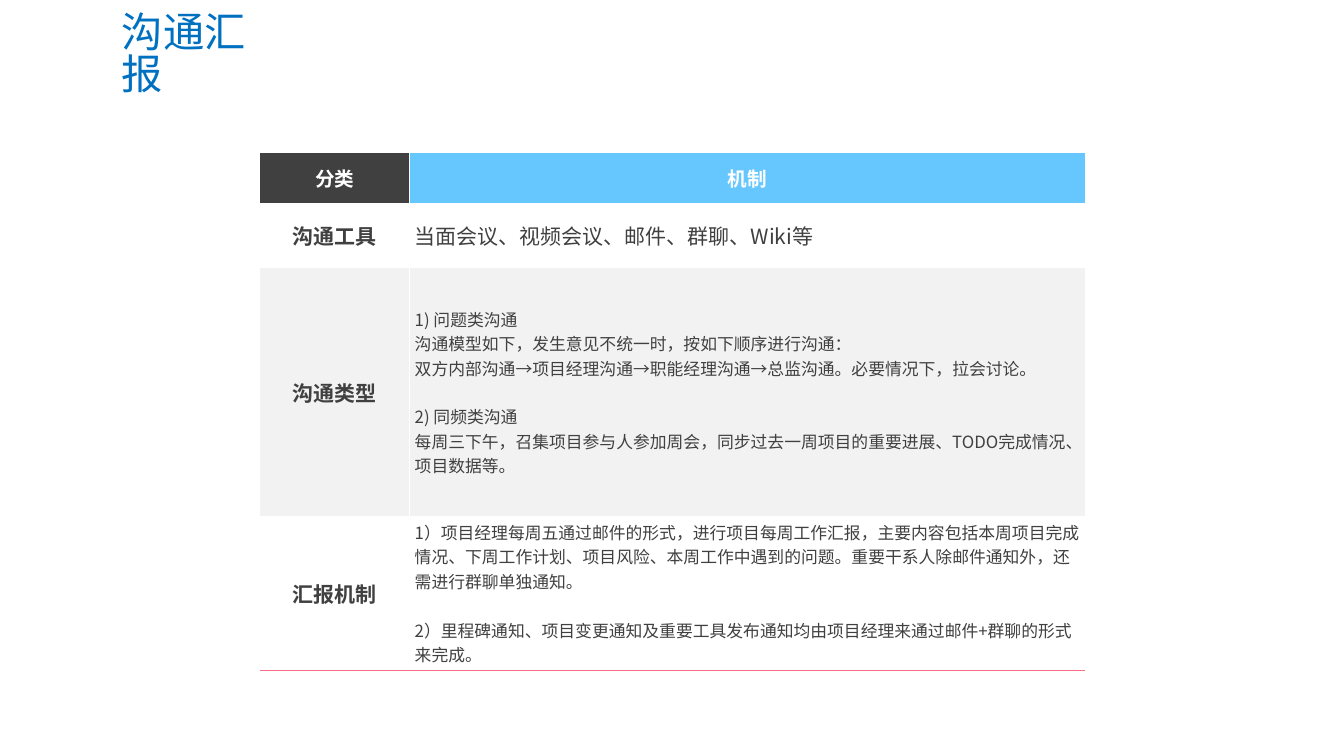
from lxml import etree
from pptx import Presentation
from pptx.dml.color import RGBColor
from pptx.enum.text import MSO_ANCHOR, MSO_AUTO_SIZE, PP_ALIGN
from pptx.oxml import parse_xml
from pptx.oxml.ns import nsdecls, qn
from pptx.util import Inches, Pt

MIDDLE = MSO_ANCHOR.MIDDLE
NONE = MSO_AUTO_SIZE.NONE
LEFT, CENTER = PP_ALIGN.LEFT, PP_ALIGN.CENTER

FONT = "Noto Sans CJK SC"
PLAIN = "{2D5ABB26-0587-4C30-8999-92F81FD0307C}"  # table style without grid
GAP = 34.75  # one blank line at 24 pt
COLORS = {
    "title": "0070C0",
    "dark": "404040",
    "sky": "66C7FF",
    "white": "FFFFFF",
    "gray": "F2F2F2",
    "pink": "F96D88",
}
COLS = [2.97, 13.41]
ROWS = [0.99, 1.29, 4.92, 3.06]

HEADS = [("分类", "dark"), ("机制", "sky")]
# label, fill, text size, groups of paragraphs
BODY = [
    ("沟通工具", "white", 30, [["当面会议、视频会议、邮件、群聊、Wiki等"]]),
    ("沟通类型", "gray", 24, [
        ["1) 问题类沟通",
         "沟通模型如下，发生意见不统一时，按如下顺序进行沟通：",
         "双方内部沟通→项目经理沟通→职能经理沟通→总监沟通。必要情况下，拉会讨论。"],
        ["2) 同频类沟通",
         "每周三下午，召集项目参与人参加周会，同步过去一周项目的重要进展、"
         "TODO完成情况、项目数据等。"],
    ]),
    ("汇报机制", "white", 24, [
        ["1）项目经理每周五通过邮件的形式，进行项目每周工作汇报，主要内容包括"
         "本周项目完成情况、下周工作计划、项目风险、本周工作中遇到的问题。"
         "重要干系人除邮件通知外，还需进行群聊单独通知。"],
        ["2）里程碑通知、项目变更通知及重要工具发布通知均由项目经理来通过"
         "邮件+群聊的形式来完成。"],
    ]),
]


def rgb(name):
    return RGBColor.from_string(COLORS[name])


def add_run(para, text, size, color, bold=False):
    run = para.add_run()
    run.text = text
    font = run.font
    font.name, font.size, font.bold = FONT, Pt(size), bold
    font.color.rgb = rgb(color)
    east = etree.SubElement(run._r.get_or_add_rPr(), qn("a:ea"))
    east.set("typeface", FONT)


def add_title(slide):
    title = slide.shapes.title
    title.left, title.top = Inches(2.36), Inches(0.56)
    title.width, title.height = Inches(3.35), Inches(1.1)
    frame = title.text_frame
    frame.word_wrap, frame.auto_size = True, NONE
    frame.vertical_anchor = MIDDLE
    frame.margin_left = frame.margin_right = Inches(0.06)
    frame.margin_top = frame.margin_bottom = Inches(0.06)
    para = frame.paragraphs[0]
    para.alignment, para.line_spacing = LEFT, 0.84
    add_run(para, "沟通汇报", 59, "title")


def add_edge(cell, side, color):
    """Put a border first in the cell's properties."""
    line = parse_xml(
        f'<a:{side} {nsdecls("a")} w="{Pt(1.5)}"><a:solidFill>'
        f'<a:srgbClr val="{COLORS[color]}"/></a:solidFill></a:{side}>')
    cell._tc.get_or_add_tcPr().insert(0, line)


def fill_cell(cell, groups, fill, size, color, bold, align):
    cell.fill.solid()
    cell.fill.fore_color.rgb = rgb(fill)
    cell.vertical_anchor = MIDDLE
    frame = cell.text_frame
    para = None
    for group in groups:
        for i, text in enumerate(group):
            first = para is None
            para = frame.paragraphs[0] if first else frame.add_paragraph()
            para.alignment = align
            if i == 0 and not first:
                para.space_before = Pt(GAP)
            add_run(para, text, size, color, bold)


def add_grid(slide):
    frame = slide.shapes.add_table(
        len(ROWS), len(COLS), Inches(5.16), Inches(3.04),
        Inches(sum(COLS)), Inches(sum(ROWS)))
    table = frame.table
    table.first_row = table.horz_banding = False
    table._tbl.tblPr.find(qn("a:tableStyleId")).text = PLAIN
    for col, width in zip(table.columns, COLS):
        col.width = Inches(width)
    for row, height in zip(table.rows, ROWS):
        row.height = Inches(height)

    for c, (text, fill) in enumerate(HEADS):
        fill_cell(table.cell(0, c), [[text]], fill, 28, "white", True, CENTER)
    for r, (label, fill, size, groups) in enumerate(BODY, 1):
        fill_cell(table.cell(r, 0), [[label]], fill, 30, "dark", True, CENTER)
        fill_cell(table.cell(r, 1), groups, fill, size, "dark", False, LEFT)

    last = len(ROWS) - 1
    for r in range(len(ROWS)):
        for c, side in enumerate(("lnR", "lnL")):
            cell = table.cell(r, c)
            if r == last:
                add_edge(cell, "lnB", "pink")
            add_edge(cell, side, "white")


def main():
    deck = Presentation()
    deck.slide_width, deck.slide_height = Inches(26.67), Inches(15)
    slide = deck.slides.add_slide(deck.slide_layouts[5])
    add_title(slide)
    add_grid(slide)
    deck.save("out.pptx")


if __name__ == "__main__":
    main()
